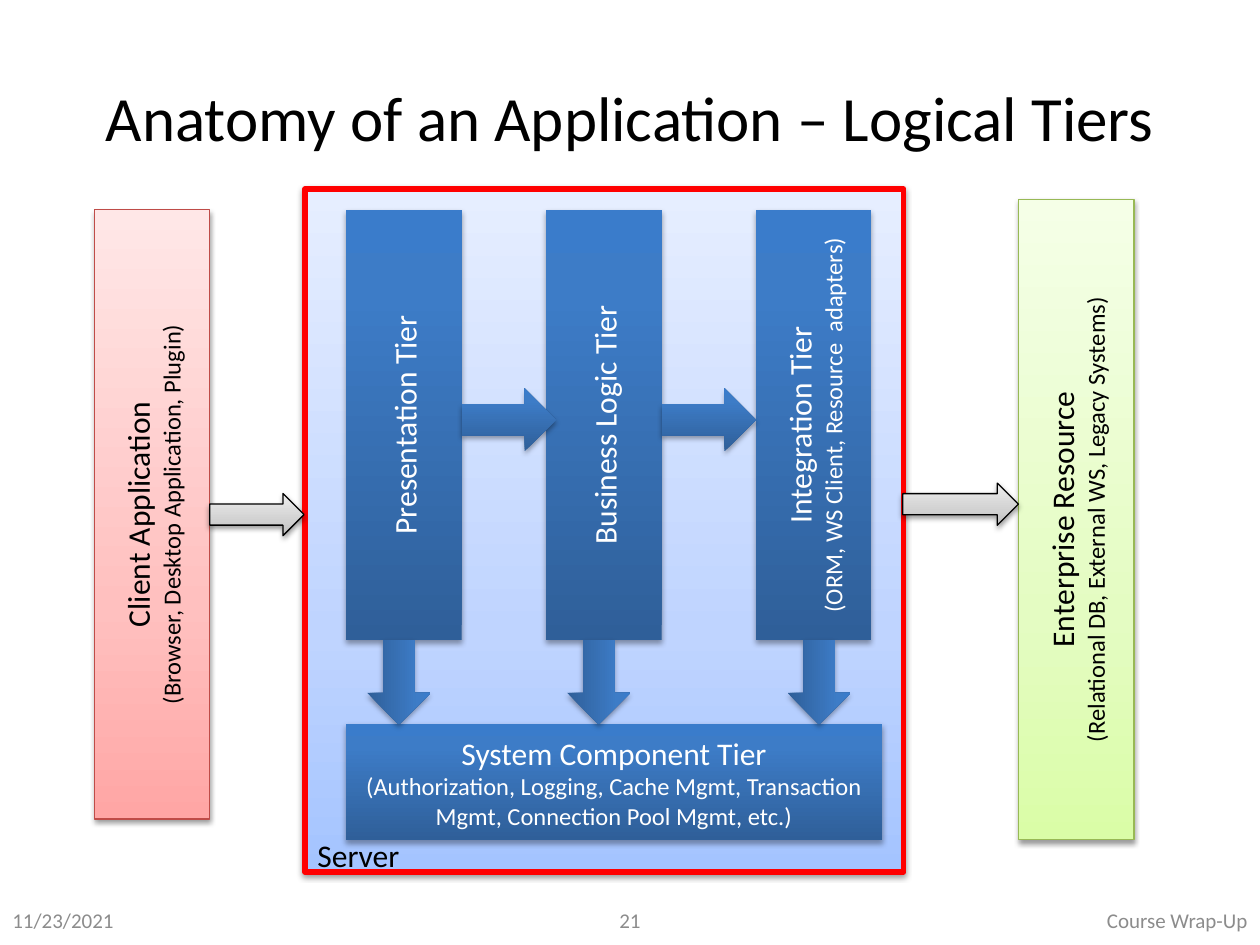
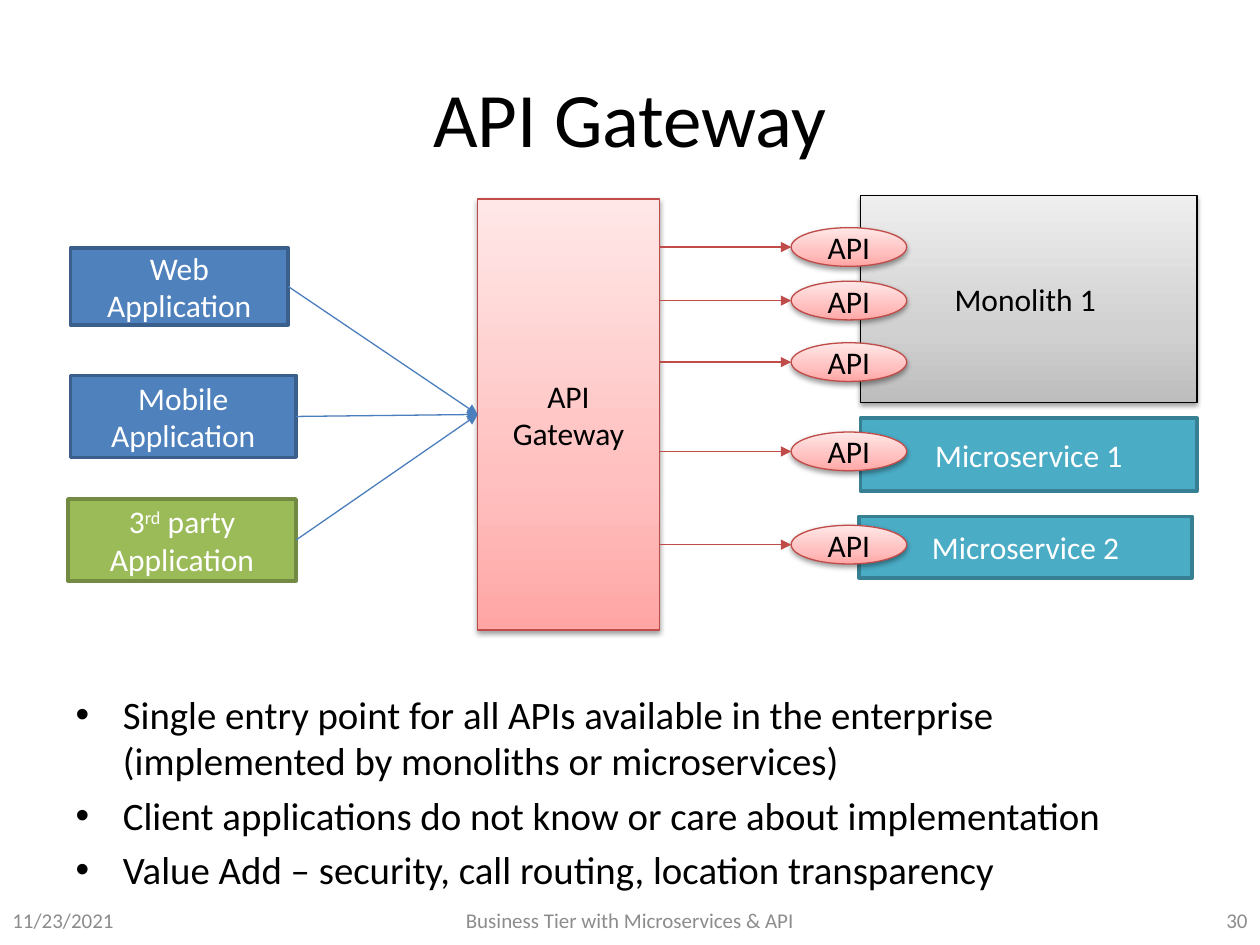
from dataclasses import dataclass
from typing import Optional

from lxml.etree import SubElement
from pptx import Presentation
from pptx.dml.color import RGBColor
from pptx.enum.shapes import MSO_CONNECTOR as Connector, MSO_SHAPE as Preset
from pptx.enum.text import MSO_ANCHOR as Anchor, MSO_AUTO_SIZE as AutoSize, PP_ALIGN as Align
from pptx.oxml.ns import qn
from pptx.util import Cm, Pt


@dataclass(frozen=True)
class Style:
    """Fill, outline, text colour and shadow of one family of shapes."""

    fill: object
    line: Optional[str] = None
    width: float = 0.75
    text: str = "000000"
    shadow: Optional[tuple] = (1.6, 38)


@dataclass(frozen=True)
class Theme:
    """Colours, type sizes and shape styles shared by the slides."""

    font: str = "Calibri"
    black: str = "000000"
    muted: str = "8C8C8C"
    blue_line: str = "4B7EBC"
    red_line: str = "BF4C48"
    title: float = 44
    long_title: float = 36
    bullet: float = 22.2
    label: float = 18
    detail: float = 14
    footer: float = 12
    server: Style = Style(((0, "A4C4FF"), (35, "BFD4FF"), (100, "E6EEFF")), "FF0000", 3)
    red: Style = Style(((0, "FFA6A5"), (35, "FFC0BF"), (100, "FFE7E7")), "BF4C48")
    green: Style = Style(((0, "DAFDA7"), (35, "E4FCC2"), (100, "F5FFE7")), "98B955")
    gray: Style = Style(((0, "BDBDBD"), (35, "D1D1D1"), (100, "EEEEEE")), "000000")
    tier: Style = Style(((0, "2F5F99"), (80, "3D7CC7"), (100, "3A7CCB")),
                        text="FFFFFF", shadow=(1.8, 35))
    own_client: Style = Style("4F81BD", "3A5F8C", 2, "FFFFFF", None)
    outside_client: Style = Style("9BBB59", "738A42", 2, "FFFFFF", None)
    service: Style = Style("4BACC6", "377F92", 2, "FFFFFF", None)


THEME = Theme()
BAR_WIDTH = 2.33


def cm_box(left, top, width, height):
    """Return four lengths in centimetres."""
    return Cm(left), Cm(top), Cm(width), Cm(height)


def write(paragraph, text, *, size=THEME.label, color=THEME.black, align=Align.CENTER,
          raised=False):
    """Append one formatted run to a paragraph."""
    paragraph.alignment = align
    run = paragraph.add_run()
    run.text = text
    run.font.name = THEME.font
    run.font.size = Pt(size)
    run.font.color.rgb = RGBColor.from_string(color)
    if raised:
        run.font._element.set("baseline", "30000")


def paint(shape, style):
    """Give a shape its solid or gradient fill, its outline and its shadow."""
    properties = shape.element.spPr
    if isinstance(style.fill, str):
        shape.fill.solid()
        shape.fill.fore_color.rgb = RGBColor.from_string(style.fill)
    else:
        shape.fill.gradient()
        shape.fill.gradient_angle = 90
        stops = properties.find(qn("a:gradFill")).find(qn("a:gsLst"))
        for stop in list(stops):
            stops.remove(stop)
        for position, color in style.fill:
            stop = SubElement(stops, qn("a:gs"), pos=str(position * 1000))
            SubElement(stop, qn("a:srgbClr"), val=color)
    if style.line:
        shape.line.color.rgb = RGBColor.from_string(style.line)
        shape.line.width = Pt(style.width)
    else:
        shape.line.fill.background()
    shape.shadow.inherit = False
    if style.shadow:
        distance, opacity = style.shadow
        shadow = SubElement(properties.find(qn("a:effectLst")), qn("a:outerShdw"),
                            blurRad=str(Pt(3.1)), dist=str(Pt(distance)),
                            dir="5400000", rotWithShape="0")
        color = SubElement(shadow, qn("a:srgbClr"), val=THEME.black)
        SubElement(color, qn("a:alpha"), val=str(opacity * 1000))


def add_block(slide, box, style, label="", detail="", preset=Preset.RECTANGLE, upright=False):
    """Add a preset shape with a label and a smaller detail line."""
    shape = slide.shapes.add_shape(preset, *cm_box(*box))
    paint(shape, style)
    frame = shape.text_frame
    frame.word_wrap = True
    frame.vertical_anchor = Anchor.MIDDLE
    if label:
        write(frame.paragraphs[0], label, color=style.text)
    if detail:
        write(frame.add_paragraph(), detail, size=THEME.detail, color=style.text)
    if upright:
        shape.element.txBody.find(qn("a:bodyPr")).set("vert", "vert270")
    return shape


def add_block_arrow(slide, box, style, rotation=0):
    """Add a wide arrow that points right before it is rotated."""
    add_block(slide, box, style, preset=Preset.RIGHT_ARROW).rotation = rotation


def add_text(slide, box, text, anchor=Anchor.TOP, **text_format):
    """Add a text box with one formatted paragraph."""
    frame = slide.shapes.add_textbox(*cm_box(*box)).text_frame
    frame.word_wrap = True
    frame.vertical_anchor = anchor
    write(frame.paragraphs[0], text, **text_format)


def add_arrow_line(slide, color, start=(0, 0), end=(0, 0)):
    """Add a thin straight connector with an arrowhead at its end."""
    connector = slide.shapes.add_connector(
        Connector.STRAIGHT, *(Cm(value) for value in (*start, *end)))
    connector.line.color.rgb = RGBColor.from_string(color)
    connector.line.width = Pt(0.75)
    properties = connector.element.spPr
    SubElement(properties.find(qn("a:ln")), qn("a:tailEnd"), type="triangle")
    SubElement(properties, qn("a:effectLst"))
    return connector


def place(placeholder, box):
    """Move a placeholder and return its text frame."""
    placeholder.left, placeholder.top, placeholder.width, placeholder.height = cm_box(*box)
    frame = placeholder.text_frame
    frame.auto_size = AutoSize.NONE
    return frame


def start_slide(presentation, layout, title, size, footers):
    """Add a slide with its title and its left, centre and right footers."""
    slide = presentation.slides.add_slide(presentation.slide_layouts.get_by_name(layout))
    frame = place(slide.shapes.title, (1.27, 0.76, 22.86, 3.18))
    frame.vertical_anchor = Anchor.MIDDLE
    write(frame.paragraphs[0], title, size=size)
    slots = ((0, 5.93, Align.LEFT), (8.68, 8.04, Align.CENTER), (19.47, 5.93, Align.RIGHT))
    for text, (left, width, align) in zip(footers, slots):
        add_text(slide, (left, 18.03, width, 1.02), text, Anchor.MIDDLE,
                 size=THEME.footer, color=THEME.muted, align=align)
    return slide


def add_tiers_slide(presentation):
    """Build the slide on the logical tiers of an application."""
    slide = start_slide(presentation, "Title Only", "Anatomy of an Application – Logical Tiers",
                        THEME.long_title, ("11/23/2021", "21", "Course Wrap-Up"))
    add_block(slide, (6.15, 3.81, 12.07, 13.77), THEME.server)
    add_block(slide, (1.9, 4.23, BAR_WIDTH, 12.28), THEME.red, "Client Application",
              "(Browser, Desktop Application, Plugin)", upright=True)
    add_block(slide, (20.53, 4.02, BAR_WIDTH, 12.91), THEME.green, "Enterprise Resource",
              "(Relational DB, External WS, Legacy Systems)", upright=True)
    tiers = (
        (6.98, "Presentation Tier", ""),
        (11.01, "Business Logic Tier", ""),
        (15.24, "Integration Tier", "(ORM, WS Client, Resource  adapters)"),
    )
    for left, label, detail in tiers:
        add_block(slide, (left, 4.23, BAR_WIDTH, 8.68), THEME.tier, label, detail, upright=True)
    add_block(slide, (6.98, 14.6, 10.8, BAR_WIDTH), THEME.tier, "System Component Tier",
              "(Authorization, Logging, Cache Mgmt, Transaction Mgmt, "
              "Connection Pool Mgmt, etc.)")
    for left, _, _ in tiers[:-1]:
        add_block_arrow(slide, (left + BAR_WIDTH, 7.83, 1.9, 1.27), THEME.tier)
    for center in (8.04, 12.07, 16.51):
        add_block_arrow(slide, (center - 0.85, 13.12, 1.7, 1.27), THEME.tier, rotation=90)
    add_block_arrow(slide, (4.23, 9.95, 1.9, 0.85), THEME.gray)
    add_block_arrow(slide, (18.2, 9.74, BAR_WIDTH, 0.85), THEME.gray)
    add_text(slide, (6.15, 16.72, 3.81, 1.02), "Server", align=Align.LEFT)


def add_gateway_slide(presentation):
    """Build the slide on the API gateway."""
    slide = start_slide(presentation, "Title and Content", "API Gateway", THEME.title,
                        ("11/23/2021", "Business Tier with Microservices & API", "30"))
    gateway = add_block(slide, (9.63, 4.01, 3.66, 8.69), THEME.red, "API Gateway")
    web = add_block(slide, (1.42, 5, 4.39, 1.55), THEME.own_client, "Web Application")
    mobile = add_block(slide, (1.42, 7.57, 4.55, 1.65), THEME.own_client, "Mobile Application")
    third_party = add_block(slide, (1.37, 10.06, 4.6, 1.65), THEME.outside_client, "3")
    paragraph = third_party.text_frame.paragraphs[0]
    write(paragraph, "rd", color=THEME.outside_client.text, raised=True)
    write(paragraph, " party Application", color=THEME.outside_client.text)
    for client in (web, mobile, third_party):
        connector = add_arrow_line(slide, THEME.blue_line)
        connector.begin_connect(client, 3)
        connector.end_connect(gateway, 1)

    add_block(slide, (17.35, 3.94, 6.78, 4.17), THEME.gray, "Monolith 1 ")
    add_block(slide, (17.35, 8.43, 6.78, 1.47), THEME.service, "Microservice 1")
    add_block(slide, (17.32, 10.41, 6.71, 1.24), THEME.service, "Microservice 2")
    for center in (4.98, 6.06, 7.3, 9.1, 10.98):
        add_block(slide, (15.95, center - 0.39, BAR_WIDTH, 0.78), THEME.red, "API",
                  preset=Preset.OVAL)
        add_arrow_line(slide, THEME.red_line, (13.29, center), (15.95, center))

    frame = place(slide.placeholders[1], (1.27, 13.79, 22.43, 3.99))
    bullets = (
        "Single entry point for all APIs available in the enterprise "
        "(implemented by monoliths or microservices)",
        "Client applications do not know or care about implementation",
        "Value Add – security, call routing, location transparency",
    )
    for index, text in enumerate(bullets):
        paragraph = frame.add_paragraph() if index else frame.paragraphs[0]
        write(paragraph, text, size=THEME.bullet, align=Align.LEFT)


def main():
    """Build and save the presentation."""
    presentation = Presentation()
    presentation.slide_width = Cm(25.4)
    presentation.slide_height = Cm(19.05)
    add_tiers_slide(presentation)
    add_gateway_slide(presentation)
    presentation.save("out.pptx")


if __name__ == "__main__":
    main()
